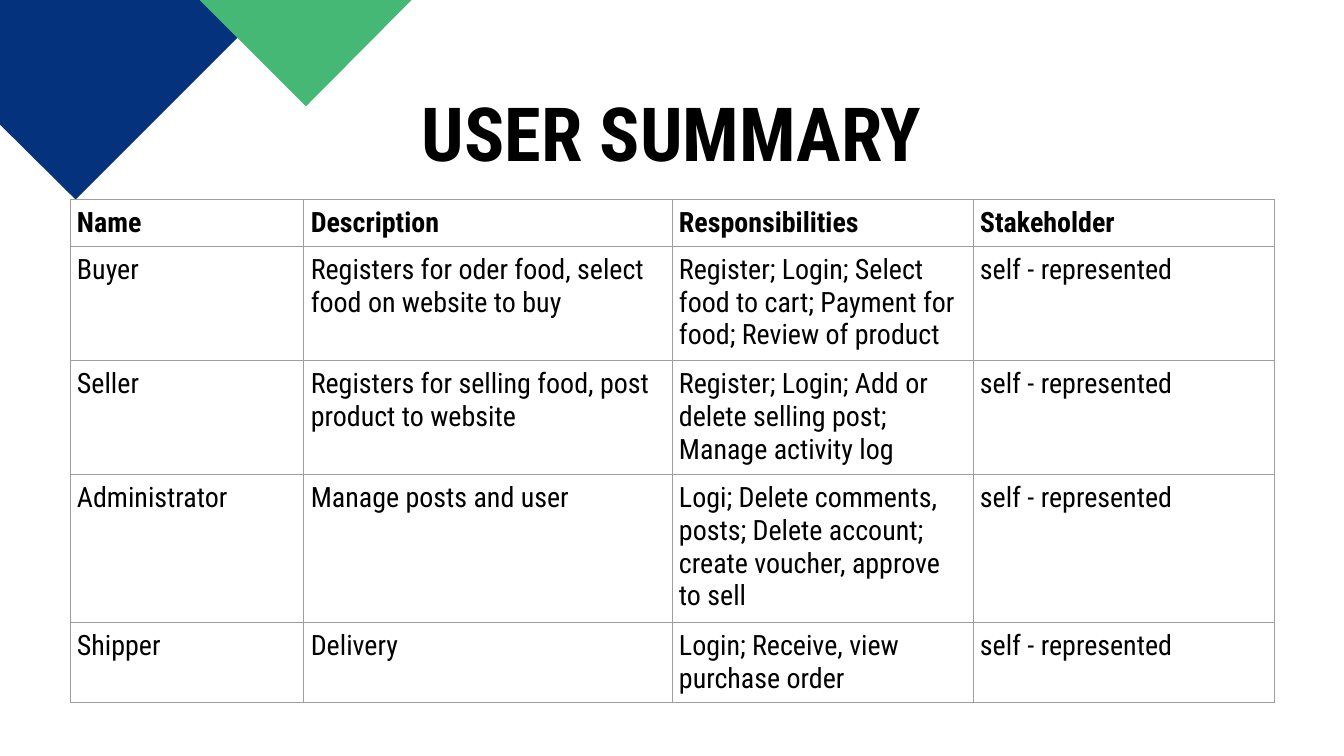
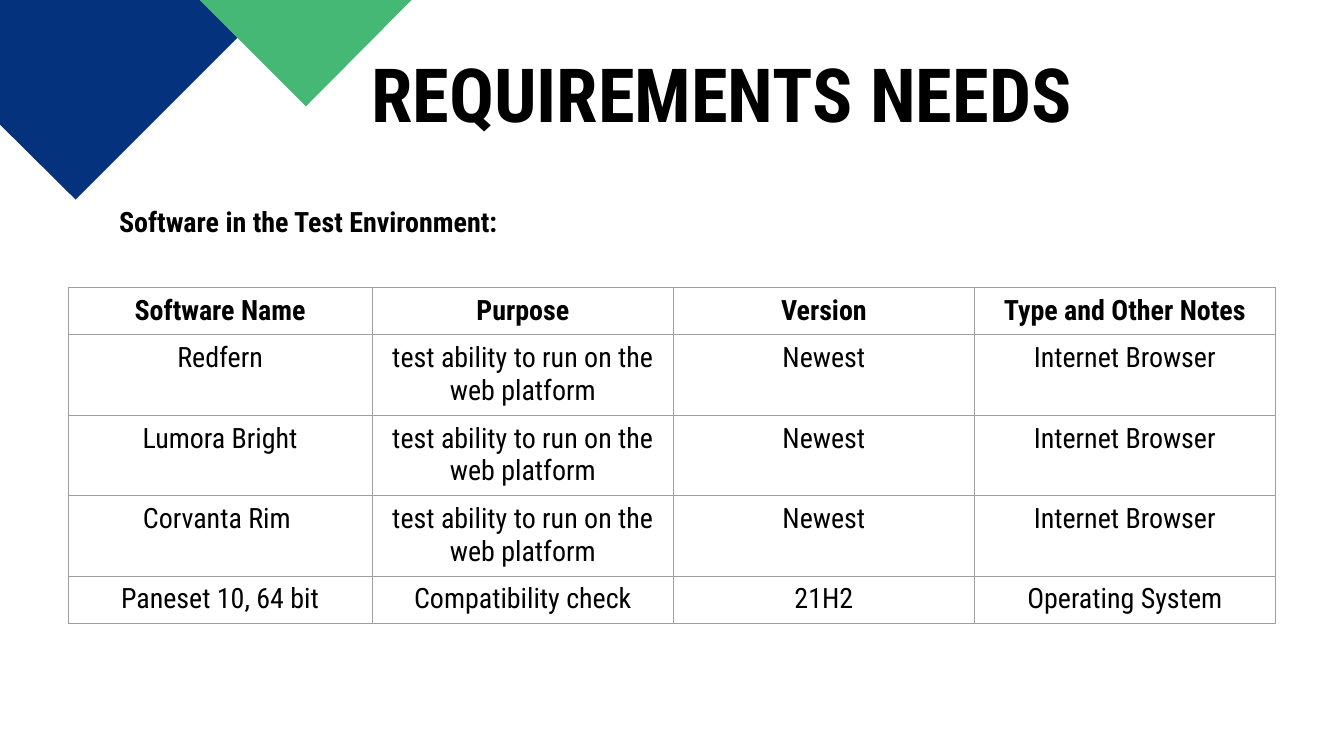
from dataclasses import dataclass
from typing import Any

from lxml import etree
from pptx import Presentation
from pptx import util as u
from pptx.dml.color import RGBColor
from pptx.enum import text
from pptx.oxml import ns
from pptx.slide import Slide

PX = 9525  # EMU in one px, 96 px to the inch
NAVY = RGBColor(0x05, 0x32, 0x7D)
GREEN = RGBColor(0x44, 0xB8, 0x74)
BLACK = RGBColor(0x00, 0x00, 0x00)
RULE_GREY = RGBColor(0x9E, 0x9E, 0x9E)

LEFT, CENTER = text.PP_ALIGN.LEFT, text.PP_ALIGN.CENTER
BODY = {"name": "Roboto Condensed", "size": u.Pt(30), "bold": False}
STRONG = BODY | {"bold": True}
TITLE = STRONG | {"size": u.Pt(80)}

LINE_HEIGHT, ROW_PADDING, CELL_INSET = 48, 19, 10
INSETS = ("margin_left", "margin_top", "margin_right", "margin_bottom")


@dataclass(frozen=True)
class Corner:
    points: tuple[tuple[int, int], ...]
    color: RGBColor


@dataclass(frozen=True)
class Label:
    words: str
    left: int
    top: int
    width: int
    height: int
    font: dict[str, Any]
    align: text.PP_ALIGN
    anchor: text.MSO_ANCHOR
    insets: tuple[int, int, int, int]


@dataclass(frozen=True)
class Grid:
    left: int
    top: int
    columns: tuple[int, ...]
    lines: tuple[int, ...]
    align: text.PP_ALIGN
    rows: tuple[tuple[str, ...], ...]


CORNERS = (
    Corner(((393, 0), (108, 285), (0, 178), (0, 0)), NAVY),
    Corner(((588, 0), (437, 152), (285, 0)), GREEN),
)


def heading(words: str, left: int, top: int, width: int) -> Label:
    return Label(words, left, top, width, 131, TITLE, CENTER,
                 text.MSO_ANCHOR.TOP, (0, 11, 0, 0))


SELF = "self - represented"
USERS = Grid(100, 285, (334, 526, 430, 430), (1, 3, 3, 4, 2), LEFT, (
    ("Name", "Description", "Responsibilities", "Stakeholder"),
    ("Buyer", "Registers for oder food, select food on website to buy",
     "Register; Login; Select food to cart; Payment for food; Review of product", SELF),
    ("Seller", "Registers for selling food, post product to website",
     "Register; Login; Add or delete selling post; Manage activity log", SELF),
    ("Administrator", "Manage posts and user",
     "Logi; Delete comments, posts; Delete account; create voucher, approve to sell", SELF),
    ("Shipper", "Delivery", "Login; Receive, view purchase order", SELF),
))

BROWSER = ("test ability to run on the web platform", "Newest", "Internet Browser")
SOFTWARE = Grid(97, 411, (435, 430, 430, 430), (1, 2, 2, 2, 1), CENTER, (
    ("Software Name", "Purpose", "Version", "Type and Other Notes"),
    ("Redfern", *BROWSER),
    ("Lumora Bright", *BROWSER),
    ("Corvanta Rim ", *BROWSER),
    ("Paneset 10, 64 bit", "Compatibility check", "21H2", "Operating System"),
))

ENVIRONMENT = Label("Software in the Test Environment:", 170, 238, 1395, 103, STRONG,
                    LEFT, text.MSO_ANCHOR.BOTTOM, (0, 1, 0, 1))

SLIDES = (
    ((heading("USER SUMMARY", 454, 113, 1012),), USERS),
    ((ENVIRONMENT, heading("REQUIREMENTS NEEDS ", 349, 58, 1389)), SOFTWARE),
)


def set_all(target: Any, values: dict[str, Any]) -> None:
    for name, value in values.items():
        setattr(target, name, value)


def write(frame: Any, words: str, font: dict[str, Any], align: text.PP_ALIGN) -> None:
    paragraph = frame.paragraphs[0]
    paragraph.alignment = align
    run = paragraph.add_run()
    run.text = words
    set_all(run.font, font)
    run.font.color.rgb = BLACK


def draw_corners(slide: Slide) -> None:
    band = slide.shapes.add_group_shape()
    for corner in CORNERS:
        builder = band.shapes.build_freeform(*corner.points[0], scale=PX)
        builder.add_line_segments(corner.points[1:], close=True)
        piece = builder.convert_to_shape()
        piece.shadow.inherit = False
        piece.fill.solid()
        piece.fill.fore_color.rgb = corner.color
        piece.line.fill.background()


def draw_label(slide: Slide, label: Label) -> None:
    box = slide.shapes.add_textbox(*(
        side * PX for side in (label.left, label.top, label.width, label.height)))
    frame = box.text_frame
    set_all(frame, {"word_wrap": True, "auto_size": text.MSO_AUTO_SIZE.NONE,
                    "vertical_anchor": label.anchor})
    set_all(frame, {name: inset * PX for name, inset in zip(INSETS, label.insets)})
    write(frame, label.words, label.font, label.align)


def add_borders(cell: Any) -> None:
    properties = cell._tc.get_or_add_tcPr()
    for side in ("a:lnL", "a:lnR", "a:lnT", "a:lnB"):
        line = etree.SubElement(properties, ns.qn(side), w=str(u.Pt(0.75)))
        fill = etree.SubElement(line, ns.qn("a:solidFill"))
        etree.SubElement(fill, ns.qn("a:srgbClr"), val=str(RULE_GREY))


def draw_grid(slide: Slide, grid: Grid) -> None:
    """Draw a table whose row heights follow from their number of text lines."""
    heights = [ROW_PADDING + LINE_HEIGHT * count for count in grid.lines]
    table = slide.shapes.add_table(
        len(heights), len(grid.columns), grid.left * PX, grid.top * PX,
        sum(grid.columns) * PX, sum(heights) * PX).table
    set_all(table, {"first_row": False, "horz_banding": False})
    for column, width in zip(table.columns, grid.columns):
        column.width = width * PX
    for row, height in zip(table.rows, heights):
        row.height = height * PX
    for r, entries in enumerate(grid.rows):
        for c, words in enumerate(entries):
            cell = table.cell(r, c)
            set_all(cell, dict.fromkeys(INSETS, CELL_INSET * PX))
            add_borders(cell)
            cell.fill.background()
            write(cell.text_frame, words, BODY if r else STRONG, grid.align)


def main() -> None:
    deck = Presentation()
    set_all(deck, {"slide_width": 1920 * PX, "slide_height": 1080 * PX})
    for labels, grid in SLIDES:
        slide = deck.slides.add_slide(deck.slide_layouts[6])
        draw_corners(slide)
        for label in labels:
            draw_label(slide, label)
        draw_grid(slide, grid)
    deck.save("out.pptx")


if __name__ == "__main__":
    main()
